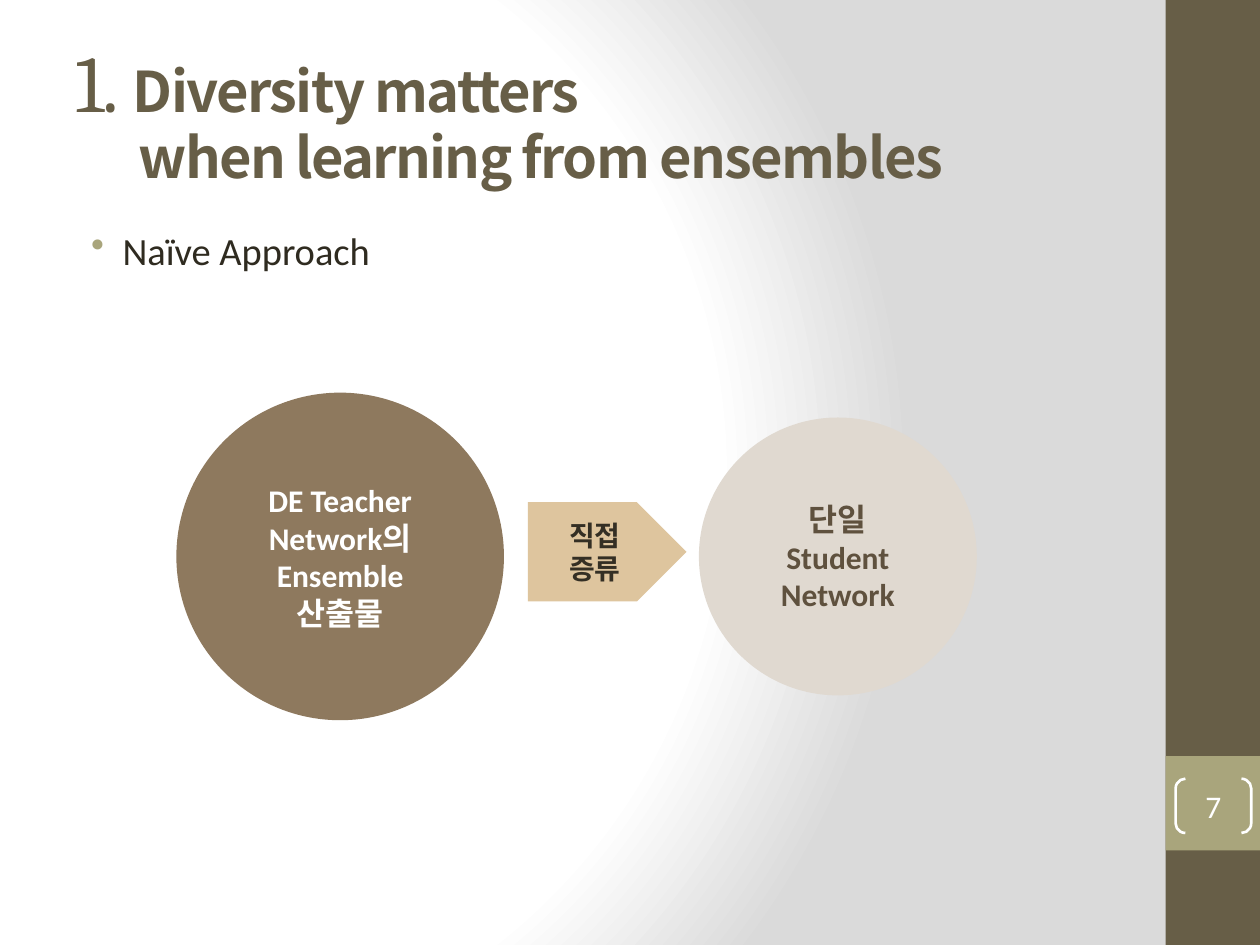
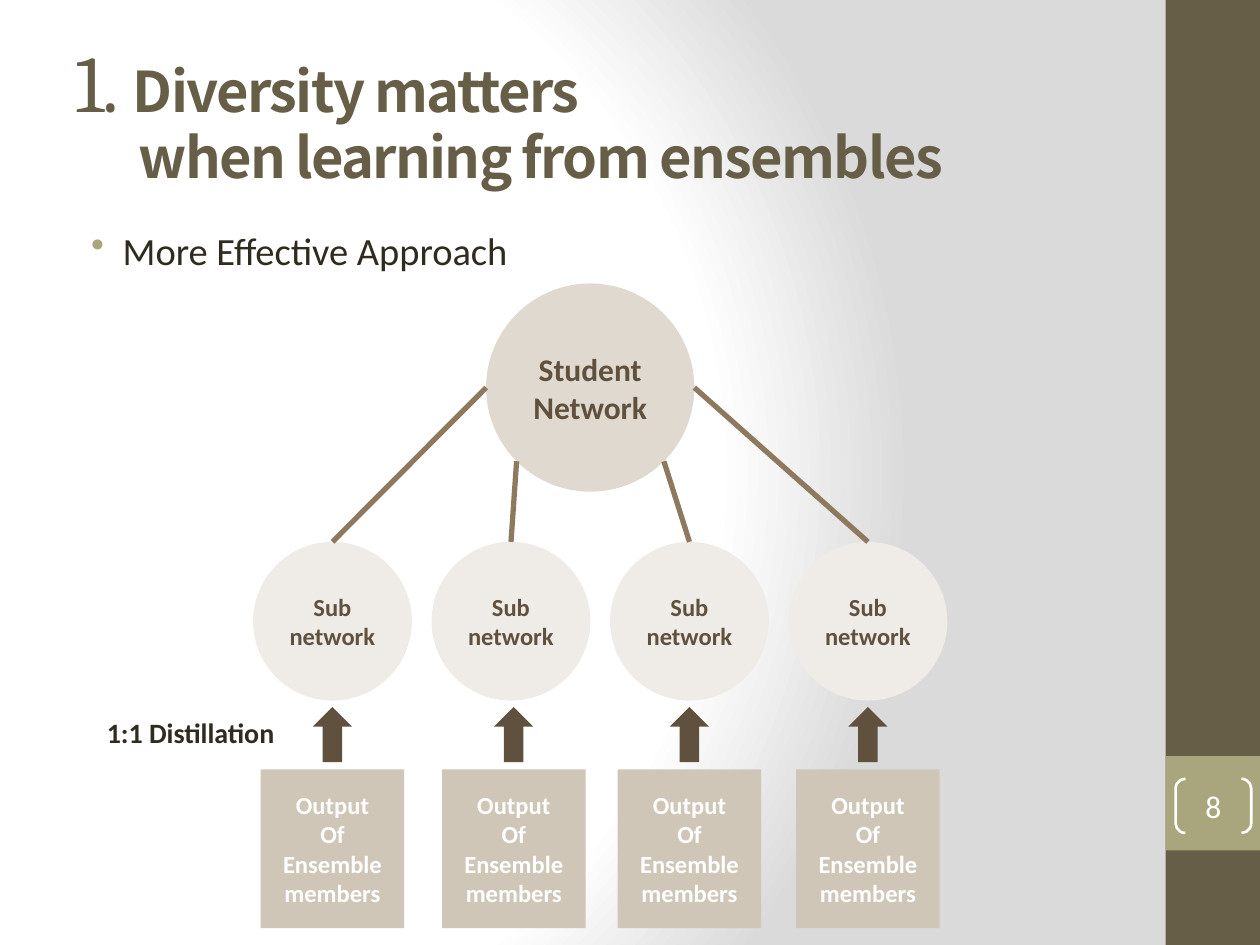
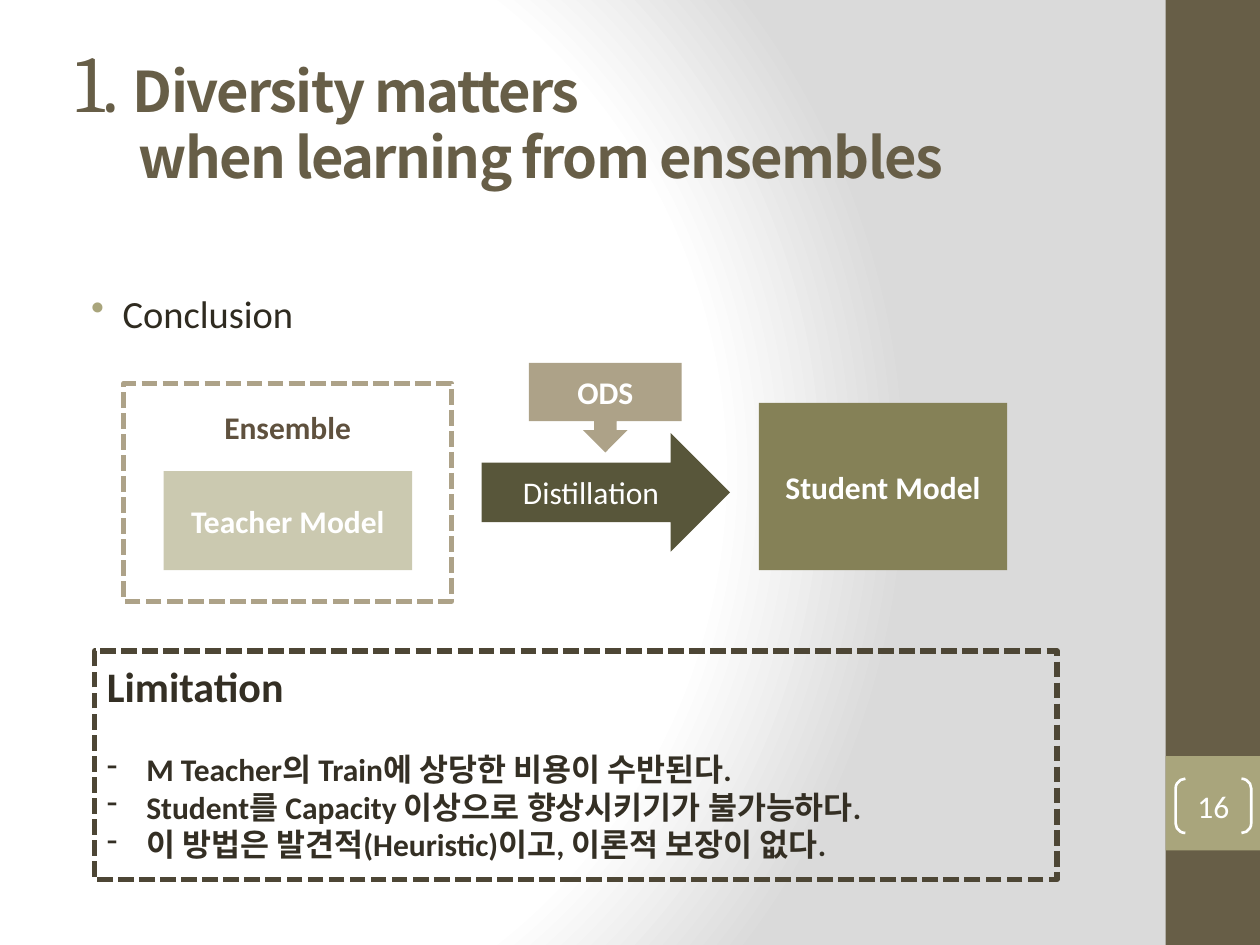
import dataclasses

import lxml.etree
import pptx
import pptx.dml.color
import pptx.enum.dml
import pptx.enum.shapes
import pptx.enum.text
import pptx.oxml
import pptx.oxml.ns
import pptx.util

Pt = pptx.util.Pt
RGB = pptx.dml.color.RGBColor.from_string
qn = pptx.oxml.ns.qn
SHAPE = pptx.enum.shapes.MSO_SHAPE
ANCHOR = pptx.enum.text.MSO_ANCHOR
ALIGN = pptx.enum.text.PP_ALIGN


@dataclasses.dataclass(frozen=True)
class Theme:
    white: str = "FFFFFF"
    backdrop: str = "DADADA"
    ink: str = "2F2B20"
    dark_ink: str = "342F24"
    olive: str = "675E47"
    sage: str = "A9A57C"
    pale_sage: str = "CBC9B0"
    moss: str = "858157"
    deep_moss: str = "58563A"
    brown: str = "8E795E"
    dark_brown: str = "5F513E"
    sand: str = "E0D9D0"
    pale_sand: str = "EFECE7"
    stone: str = "D0C6B8"
    khaki: str = "ADA288"
    tan: str = "DEC59E"
    frame: str = "4D4635"
    body_font: str = "Calibri"
    number_font: str = "Cambria"
    title_font: str = "Noto Sans CJK KR"
    chapter_size: float = 46
    title_size: float = 32
    heading_size: float = 24
    topic_size: float = 22
    label_size: float = 18
    note_size: float = 16
    small_size: float = 14


THEME = Theme()


def write(paragraph, text, *, size=THEME.label_size, color=THEME.white, font=THEME.body_font,
          bold=True, tracking=None, align=None):
    if align is not None:
        paragraph.alignment = align
    for index, line in enumerate(text.split("\n")):
        if index:
            paragraph.add_line_break()
        run = paragraph.add_run()
        run.text = line
        run.font.size = Pt(size)
        run.font.bold = bold
        run.font.name = font
        run.font.color.rgb = RGB(color)
        properties = run.font._element
        lxml.etree.SubElement(properties, qn("a:ea")).set("typeface", THEME.title_font)
        if tracking is not None:
            properties.set("spc", str(int(tracking * 100)))


def add_bullet(paragraph, mark, indent, hanging, color=None):
    properties = paragraph._p.get_or_add_pPr()
    properties.set("marL", str(Pt(indent)))
    properties.set("indent", str(-Pt(hanging)))
    if color:
        tint = lxml.etree.SubElement(properties, qn("a:buClr"))
        lxml.etree.SubElement(tint, qn("a:srgbClr")).set("val", color)
    lxml.etree.SubElement(properties, qn("a:buChar")).set("char", mark)


class Deck:
    def __init__(self, theme):
        self.theme = theme
        self.presentation = pptx.Presentation()
        self.presentation.slide_width = Pt(720)
        self.presentation.slide_height = Pt(540)
        self.slide = None
        self.paint_backdrop()

    def paint_backdrop(self):
        master = self.presentation.slide_master
        master.background.fill.solid()
        solid = master.element.find(".//" + qn("p:bgPr"))[0]
        stops = "".join(
            f'<a:gs pos="{place * 1000}"><a:srgbClr val="{color}"/></a:gs>'
            for place, color in ((0, self.theme.white), (75, self.theme.white),
                                 (100, self.theme.backdrop)))
        gradient = pptx.oxml.parse_xml(
            '<a:gradFill xmlns:a="http://schemas.openxmlformats.org/drawingml/2006/main"'
            f' rotWithShape="1"><a:gsLst>{stops}</a:gsLst><a:path path="circle">'
            '<a:fillToRect l="20000" t="50000" r="100000" b="50000"/></a:path></a:gradFill>')
        solid.getparent().replace(solid, gradient)

    def start_slide(self, number, topic, topic_top=126):
        theme = self.theme
        self.slide = self.presentation.slides.add_slide(self.presentation.slide_layouts[6])
        self.shape(SHAPE.RECTANGLE, 666, 0, 54, 540, fill=theme.olive)
        self.shape(SHAPE.RECTANGLE, 666, 432, 54, 54, fill=theme.sage)
        self.title("1. ", "Diversity matters\n\twhen learning from ensembles")
        brackets = self.shape(SHAPE.DOUBLE_BRACKET, 671.8, 445, 43.2, 31, [str(number)],
                              line=theme.white, line_width=1.5, insets=(0, 0, 0, 0), bold=False)
        brackets.adjustments[0] = 0.18
        self.topic(topic, topic_top)

    def text_box(self, left, top, width, height, wrap=True):
        frame = self.slide.shapes.add_textbox(Pt(left), Pt(top), Pt(width), Pt(height)).text_frame
        frame.word_wrap = wrap
        return frame

    def title(self, chapter, heading):
        theme = self.theme
        frame = self.text_box(36, 21.6, 600, 90)
        frame.vertical_anchor = ANCHOR.MIDDLE
        paragraph = frame.paragraphs[0]
        paragraph.line_spacing = 0.9
        write(paragraph, chapter, size=theme.chapter_size, color=theme.olive,
              font=theme.number_font, bold=False, tracking=-1)
        write(paragraph, heading, size=theme.title_size, color=theme.olive,
              font=theme.title_font, tracking=-1)

    def topic(self, text, top):
        paragraph = self.text_box(36, top, 600, 504 - top).paragraphs[0]
        paragraph.space_before = Pt(4.4)
        add_bullet(paragraph, "•", 27, 18, self.theme.sage)
        write(paragraph, text, size=self.theme.topic_size, color=self.theme.ink, bold=False)

    def label(self, text, left, top, width, height):
        frame = self.text_box(left, top, width, height, wrap=False)
        write(frame.paragraphs[0], text, size=self.theme.note_size, color=self.theme.ink)

    def shape(self, kind, left, top, width, height, lines=(), *, fill=None, line=None,
              line_width=3, dashed=False, anchor=ANCHOR.MIDDLE, insets=None, **text_format):
        shape = self.slide.shapes.add_shape(kind, Pt(left), Pt(top), Pt(width), Pt(height))
        shape.shadow.inherit = False
        if fill:
            shape.fill.solid()
            shape.fill.fore_color.rgb = RGB(fill)
        else:
            shape.fill.background()
        if line:
            shape.line.color.rgb = RGB(line)
            shape.line.width = Pt(line_width)
            if dashed:
                shape.line.dash_style = pptx.enum.dml.MSO_LINE.SQUARE_DOT
        else:
            shape.line.fill.background()
        frame = shape.text_frame
        frame.word_wrap = True
        frame.vertical_anchor = anchor
        if insets:
            (frame.margin_left, frame.margin_top,
             frame.margin_right, frame.margin_bottom) = map(Pt, insets)
        for index, text in enumerate(lines):
            paragraph = frame.add_paragraph() if index else frame.paragraphs[0]
            write(paragraph, text, **{"align": ALIGN.CENTER, **text_format})
        return shape

    def circle(self, center_x, center_y, diameter, lines, **text_format):
        return self.shape(SHAPE.OVAL, center_x - diameter / 2, center_y - diameter / 2,
                          diameter, diameter, lines, **text_format)

    def branch(self, child, end_x, end_y):
        connector = self.slide.shapes.add_connector(
            pptx.enum.shapes.MSO_CONNECTOR.STRAIGHT, 0, 0, Pt(end_x), Pt(end_y))
        connector.begin_connect(child, 0)
        connector.line.color.rgb = RGB(self.theme.brown)
        connector.line.width = Pt(3)
        lxml.etree.SubElement(connector._element.spPr, qn("a:effectLst"))

    def save(self):
        self.presentation.save("out.pptx")


def build_naive_approach(deck):
    theme = deck.theme
    deck.start_slide(7, "Naïve Approach")
    deck.circle(194.4, 318, 187.2, ["DE Teacher", "Network의", "Ensemble", "산출물"],
                fill=theme.brown)
    deck.circle(478.8, 318, 158.8, ["단일", "Student", "Network"],
                fill=theme.sand, color=theme.dark_brown)
    deck.shape(SHAPE.PENTAGON, 301.6, 287, 90.7, 56.7, ["직접", "증류"],
               fill=theme.tan, color=theme.dark_ink, size=theme.note_size)


def build_effective_approach(deck):
    theme = deck.theme
    deck.start_slide(8, "More Effective Approach")
    student_x, student_y, student_diameter = 337.3, 221.5, 119
    deck.circle(student_x, student_y, student_diameter, ["Student", "Network"],
                fill=theme.sand, color=theme.dark_brown)
    radius = student_diameter / 2
    diagonal = radius * 0.5 ** 0.5
    student_ends = [(-radius, 0), (-diagonal, diagonal), (diagonal, diagonal), (radius, 0)]
    output_centers = [190, 293.6, 394, 496]
    for index, ((dx, dy), output_x) in enumerate(zip(student_ends, output_centers)):
        subnetwork = deck.circle(190 + 102 * index, 355, 90.7, ["Sub\nnetwork"],
                                 fill=theme.pale_sand, color=theme.dark_brown,
                                 size=theme.small_size)
        deck.branch(subnetwork, student_x + dx, student_y + dy)
        deck.shape(SHAPE.RECTANGLE, output_x - 41, 439.7, 82, 90.7,
                   ["Output", "Of", "Ensemble members"],
                   fill=theme.stone, size=theme.small_size)
        deck.shape(SHAPE.UP_ARROW, output_x - 11.2, 404, 22.4, 31.5, fill=theme.dark_brown)
    deck.label("1:1 Distillation", 54, 405.5, 112.3, 26.6)


def build_conclusion(deck):
    theme = deck.theme
    deck.start_slide(16, "Conclusion", topic_top=162)
    deck.shape(SHAPE.RECTANGLE, 93.5, 269.2, 142, 56.7, ["Teacher Model"], fill=theme.pale_sage)
    deck.shape(SHAPE.RECTANGLE, 70.8, 219, 187.2, 124.7, ["Ensemble"], line=theme.khaki,
               dashed=True, anchor=ANCHOR.TOP, insets=(7.2, 14.4, 7.2, 5.7),
               color=theme.dark_brown)
    deck.shape(SHAPE.RECTANGLE, 433.6, 230.2, 142, 95.7, ["Student Model"], fill=theme.moss)
    deck.shape(SHAPE.RIGHT_ARROW, 275.2, 247.5, 142, 67.8, ["Distillation"],
               fill=theme.deep_moss, bold=False)
    deck.shape(SHAPE.DOWN_ARROW_CALLOUT, 302.3, 207.4, 87.3, 51.1, ["ODS"], fill=theme.khaki)
    limits = ["M Teacher의 Train에 상당한 비용이 수반된다.",
              "Student를 Capacity 이상으로 향상시키기가 불가능하다.",
              "이 방법은 발견적(Heuristic)이고, 이론적 보장이 없다."]
    limitation = deck.shape(SHAPE.RECTANGLE, 54, 372, 550, 130.5, ["Limitation"],
                            line=theme.frame, dashed=True, anchor=ANCHOR.TOP,
                            insets=(7.2, 5.7, 7.2, 5.7), align=ALIGN.LEFT,
                            size=theme.heading_size, color=theme.dark_ink).text_frame
    limitation.paragraphs[0].space_after = Pt(22)
    for limit in limits:
        paragraph = limitation.add_paragraph()
        add_bullet(paragraph, "-", 22.5, 22.5)
        write(paragraph, limit, color=theme.dark_ink, align=ALIGN.LEFT)


def main():
    deck = Deck(THEME)
    build_naive_approach(deck)
    build_effective_approach(deck)
    build_conclusion(deck)
    deck.save()


if __name__ == "__main__":
    main()
